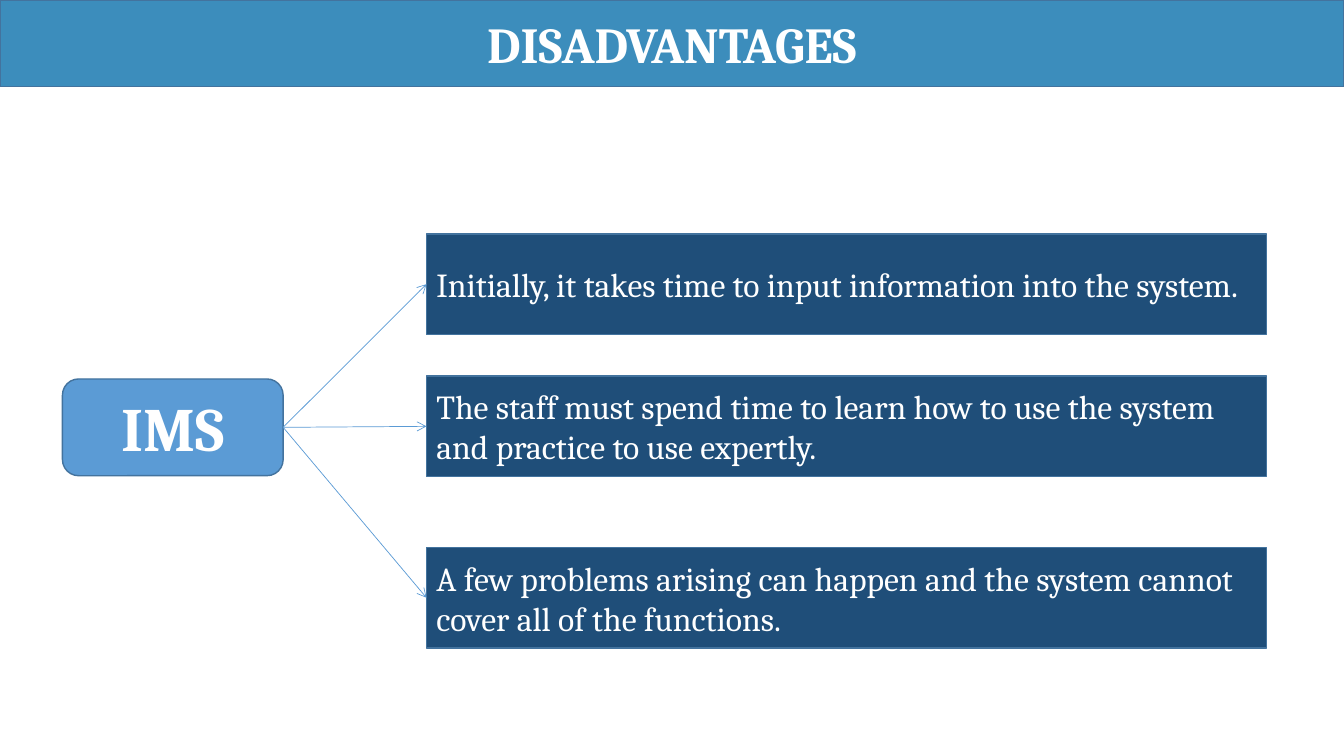
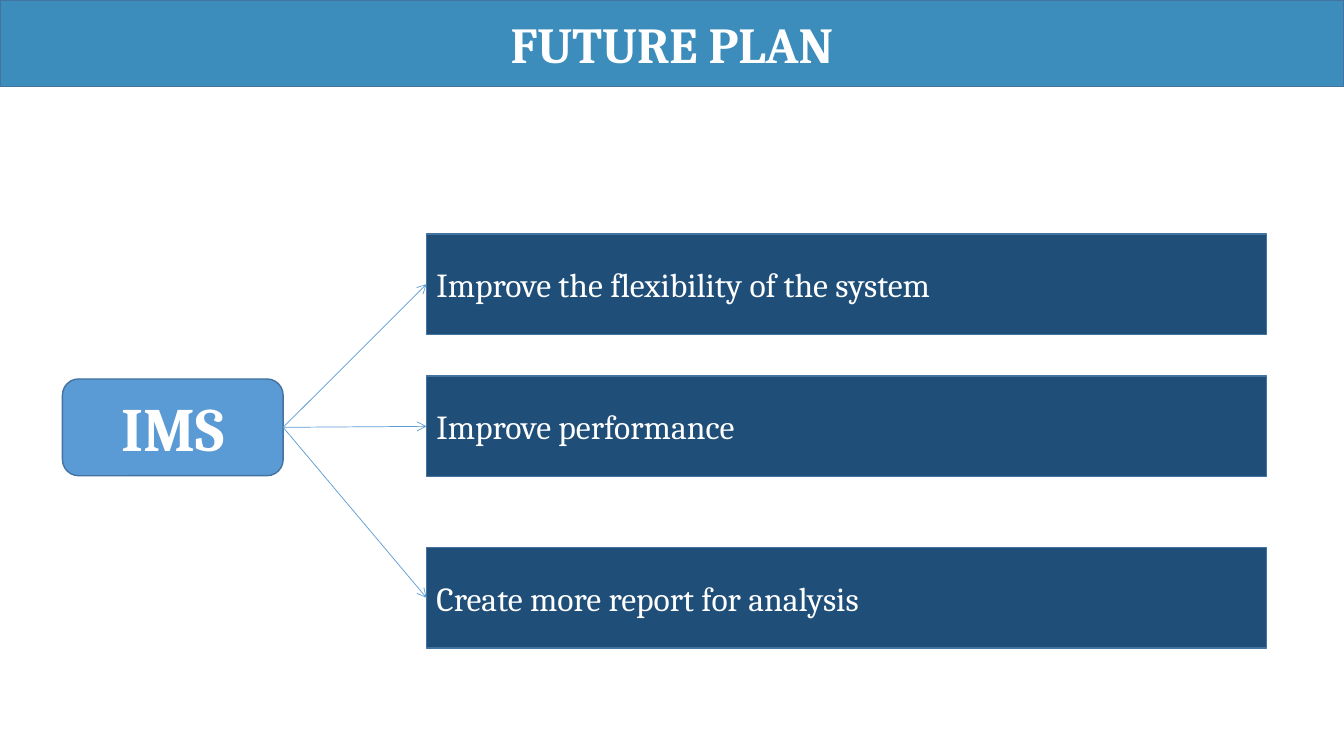
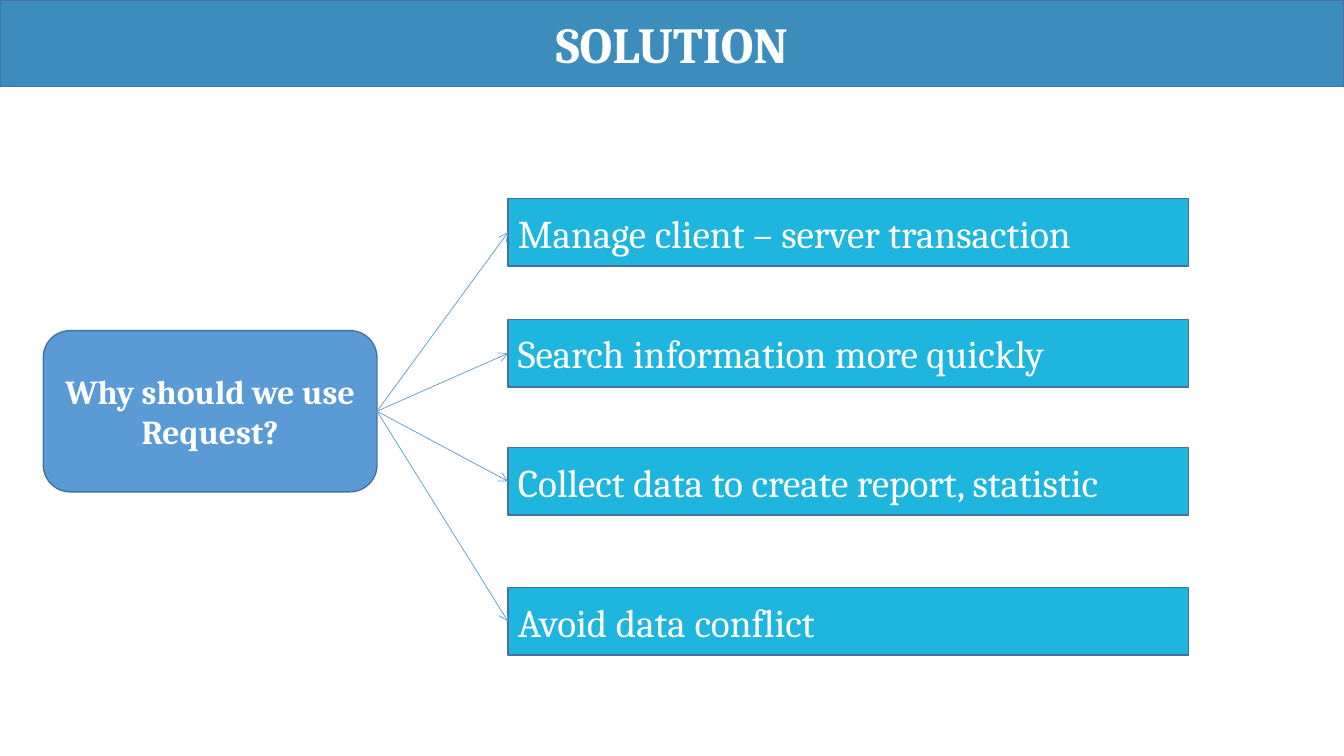
from lxml import etree
from pptx import Presentation
from pptx import util as u
from pptx.dml.color import RGBColor
from pptx.enum import shapes, text
from pptx.oxml import ns

W, H = u.Inches(13.33), u.Inches(7.5)
FONT = "Cambria"
COLORS = {
    "band": "3C8DBC",
    "hub": "5B9BD5",
    "navy": "1F4E79",
    "cyan": "1EB5DE",
    "outline": "43739E",
    "arrow": "5B9BD5",
    "text": "FFFFFF",
}
RECT = shapes.MSO_SHAPE.RECTANGLE
ROUND = shapes.MSO_SHAPE.ROUNDED_RECTANGLE
LEFT, CENTER, JUSTIFY = (text.PP_ALIGN.LEFT, text.PP_ALIGN.CENTER,
                         text.PP_ALIGN.JUSTIFY)
RIGHT_SITE, LEFT_SITE = 3, 1

# Areas are left, top, width, height in percent of the slide.
NAVY_LAYOUT = {
    "hub": (4.65, 50.13, 16.42, 12.8),
    "left": 31.73, "width": 62.5, "height": 13.33,
    "tops": (30.93, 49.73, 72.4),
    "fill": "navy", "size": 24, "align": LEFT,
}
CYAN_LAYOUT = {
    "hub": (3.22, 43.73, 24.83, 21.33),
    "left": 37.8, "width": 50.63, "height": 8.93,
    "tops": (26.27, 42.27, 59.2, 77.73),
    "fill": "cyan", "size": 28, "align": JUSTIFY,
}


def color(name):
    return RGBColor.from_string(COLORS[name])


def add_box(s, kind, area, fill, label, size, align=CENTER, bold=False):
    x, y, w, h = area
    sp = s.shapes.add_shape(kind, int(W * x / 100), int(H * y / 100),
                            int(W * w / 100), int(H * h / 100))
    sp.shadow.inherit = False
    sp.fill.solid()
    sp.fill.fore_color.rgb = color(fill)
    sp.line.color.rgb = color("outline")
    sp.line.width = u.Pt(1)
    tf = sp.text_frame
    tf.word_wrap = True
    tf.vertical_anchor = text.MSO_ANCHOR.MIDDLE
    tf.text = label
    p = tf.paragraphs[0]
    p.alignment = align
    font = p.runs[0].font
    font.name, font.size, font.bold = FONT, u.Pt(size), bold
    font.color.rgb = color("text")
    return sp


def add_arrow(s, hub, box):
    line = s.shapes.add_connector(shapes.MSO_CONNECTOR.STRAIGHT, 0, 0, 0, 0)
    line.begin_connect(hub, RIGHT_SITE)
    line.end_connect(box, LEFT_SITE)
    line.line.color.rgb = color("arrow")
    line.line.width = u.Pt(0.5)
    spPr = line._element.spPr
    etree.SubElement(spPr.find(ns.qn("a:ln")), ns.qn("a:tailEnd"), type="arrow")
    etree.SubElement(spPr, ns.qn("a:effectLst"))


def add_hub_slide(prs, title, hub_label, hub_size, items, layout):
    s = prs.slides.add_slide(prs.slide_layouts[6])
    add_box(s, RECT, (0, 0, 100, 11.47), "band", title, 36, bold=True)
    hub = add_box(s, ROUND, layout["hub"], "hub", hub_label, hub_size, bold=True)
    for item, top in zip(items, layout["tops"]):
        area = (layout["left"], top, layout["width"], layout["height"])
        box = add_box(s, RECT, area, layout["fill"], item,
                      layout["size"], layout["align"])
        add_arrow(s, hub, box)


def main():
    prs = Presentation()
    prs.slide_width, prs.slide_height = W, H
    add_hub_slide(prs, "DISADVANTAGES", "IMS", 44, (
        "Initially, it takes time to input information into the system.",
        "The staff must spend time to learn how to use the system and practice to use expertly.",
        "A few problems arising can happen and the system cannot cover all of the functions.",
    ), NAVY_LAYOUT)
    add_hub_slide(prs, "FUTURE PLAN", "IMS", 44, (
        "Improve the flexibility of the system",
        "Improve performance",
        "Create more report for analysis",
    ), NAVY_LAYOUT)
    add_hub_slide(prs, "SOLUTION", "Why should we use Request?", 24, (
        "Manage client – server transaction",
        "Search information more quickly",
        "Collect data to create report, statistic",
        "Avoid data conflict",
    ), CYAN_LAYOUT)
    prs.save("out.pptx")


if __name__ == "__main__":
    main()
